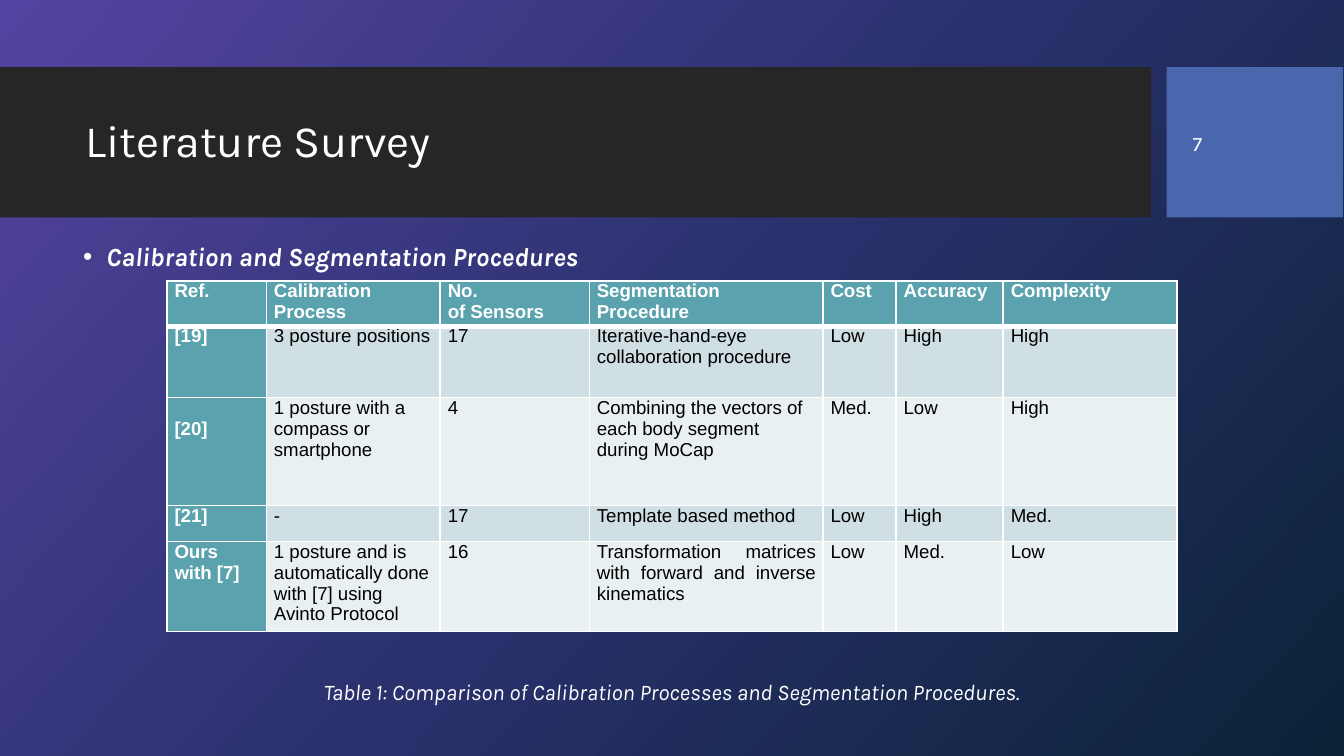
import copy
import pptx
import pptx.util
import pptx.dml.color
import pptx.enum.shapes
import pptx.enum.text
import pptx.oxml
import pptx.oxml.ns
import lxml.etree

Pt = pptx.util.Pt
ALIGN = pptx.enum.text.PP_ALIGN
ANCHOR = pptx.enum.text.MSO_ANCHOR

COLORS = {
    "white": "FFFFFF", "black": "000000", "title_bar": "262626", "number_bar": "4A66AC",
    "header": "5AA2AE", "odd_row": "D0DFE3", "even_row": "E9F0F1",
}
BACKGROUND_STOPS = [(0, "5444A1"), (0.5, "2A316D"), (1, "0B2337")]
BACKGROUND_ANGLE = 42

BARS = [
    ("title_bar", (0, 36, 616.5, 80.5)),
    ("number_bar", (625, 36, 94.5, 80.5)),
]
TITLE = "Literature Survey"
SLIDE_NUMBER = "7"
BULLET = "Calibration and Segmentation Procedures"
CAPTION = "Table 1: Comparison of Calibration Processes and Segmentation Procedures."

ROWS = [
    ["Ref.", "Calibration Process", "No.\nof Sensors", "Segmentation Procedure",
     "Cost", "Accuracy", "Complexity"],
    ["[19]", "3 posture positions", "17", "Iterative-hand-eye collaboration procedure",
     "Low", "High", "High"],
    ["[20]", "1 posture with a compass or smartphone", "4",
     "Combining the vectors of each body segment during MoCap", "Med.", "Low", "High"],
    ["[21]", "-", "17", "Template based method", "Low", "High", "Med."],
    ["Ours with [7]", "1 posture and is automatically done with [7] using Avinto Protocol", "16",
     "Transformation matrices with forward and inverse kinematics", "Low", "Med.", "Low"],
]
LEFT_ALIGNED = {(1, 1), (2, 1), (3, 1), (4, 1), (2, 3)}
LOWERED = (2, 0)
COLUMN_WIDTHS = [53.3, 93.1, 79.9, 125.2, 39.2, 57.4, 93.1]
ROW_HEIGHTS = [22.3, 38.4, 57.8, 19.3, 48.2]
TABLE_LEFT, TABLE_TOP = 89.5, 150.6


def rgb(name):
    return pptx.dml.color.RGBColor.from_string(COLORS.get(name, name))


def style_paragraph(paragraph, size, font="Karla", color="white", bold=False, italic=False):
    for run in paragraph.runs:
        run.font.name = font
        run.font.size = Pt(size)
        run.font.color.rgb = rgb(color)
        run.font.bold = bold
        run.font.italic = italic


def add_text(slide, text, box, size, anchor=ANCHOR.TOP, align=ALIGN.LEFT, spacing=1, **style):
    shape = slide.shapes.add_textbox(*map(Pt, box))
    frame = shape.text_frame
    frame.word_wrap = True
    frame.vertical_anchor = anchor
    frame.margin_left = frame.margin_right = Pt(5.3)
    frame.margin_top = frame.margin_bottom = Pt(2.7)
    frame.text = text
    paragraph = frame.paragraphs[0]
    paragraph.alignment = align
    paragraph.line_spacing = spacing
    style_paragraph(paragraph, size, **style)
    return paragraph


def add_bullet(paragraph):
    properties = paragraph._p.get_or_add_pPr()
    properties.set("marL", str(Pt(13.5)))
    properties.set("indent", str(Pt(-12.4)))
    font = lxml.etree.SubElement(properties, pptx.oxml.ns.qn("a:buFont"))
    font.set("typeface", "Arial")
    character = lxml.etree.SubElement(properties, pptx.oxml.ns.qn("a:buChar"))
    character.set("char", "•")


def set_borders(cell, widths):
    properties = cell._tc.get_or_add_tcPr()
    for index, (side, width) in enumerate(widths.items()):
        properties.insert(index, pptx.oxml.parse_xml(
            f'<a:ln{side} {pptx.oxml.ns.nsdecls("a")} w="{Pt(width)}"><a:solidFill>'
            f'<a:srgbClr val="{COLORS["white"]}"/></a:solidFill></a:ln{side}>'))


def paint_background(slide):
    fill = slide.background.fill
    fill.gradient()
    fill.gradient_angle = 360 - BACKGROUND_ANGLE
    first = next(slide.element.iter(pptx.oxml.ns.qn("a:gs")))
    first.addnext(copy.deepcopy(first))
    for stop, (position, color) in zip(fill.gradient_stops, BACKGROUND_STOPS):
        stop.position = position
        stop.color.rgb = rgb(color)


def add_bar(slide, color, box):
    bar = slide.shapes.add_shape(pptx.enum.shapes.MSO_SHAPE.RECTANGLE, *map(Pt, box))
    bar.shadow.inherit = False
    bar.fill.solid()
    bar.fill.fore_color.rgb = rgb(color)
    bar.line.fill.background()


def add_comparison_table(slide):
    table = slide.shapes.add_table(
        len(ROWS), len(COLUMN_WIDTHS), Pt(TABLE_LEFT), Pt(TABLE_TOP),
        Pt(sum(COLUMN_WIDTHS)), Pt(sum(ROW_HEIGHTS))).table
    for column, width in zip(table.columns, COLUMN_WIDTHS):
        column.width = Pt(width)
    for row_index, (row, height) in enumerate(zip(ROWS, ROW_HEIGHTS)):
        table.rows[row_index].height = Pt(height)
        for column_index, text in enumerate(row):
            place = (row_index, column_index)
            heading = 0 in place
            cell = table.cell(*place)
            cell.text_frame.text = text
            cell.margin_left = cell.margin_right = Pt(4)
            cell.margin_top = Pt(11.2 if place == LOWERED else 0)
            cell.margin_bottom = 0
            cell.fill.solid()
            stripe = "odd_row" if row_index % 2 else "even_row"
            cell.fill.fore_color.rgb = rgb("header" if heading else stripe)
            set_borders(cell, {"L": 1, "R": 1, "T": 3 if row_index == 1 else 1,
                               "B": 3 if row_index == 0 else 1})
            for paragraph in cell.text_frame.paragraphs:
                paragraph.alignment = ALIGN.LEFT if place in LEFT_ALIGNED else ALIGN.JUSTIFY
                style_paragraph(paragraph, 10, "Arial", "white" if heading else "black", heading)


def main():
    presentation = pptx.Presentation()
    presentation.slide_width, presentation.slide_height = Pt(720), Pt(405)
    slide = presentation.slides.add_slide(presentation.slide_layouts[6])
    paint_background(slide)
    for color, box in BARS:
        add_bar(slide, color, box)
    add_text(slide, TITLE, (40.3, 44.6, 568, 64), 24, ANCHOR.MIDDLE, spacing=0.9)
    add_bullet(add_text(slide, BULLET, (38.2, 128.2, 568, 212), 14,
                        spacing=0.9, bold=True, italic=True))
    add_text(slide, SLIDE_NUMBER, (633.6, 44.6, 68.4, 64), 11, ANCHOR.MIDDLE)
    add_comparison_table(slide)
    add_text(slide, CAPTION, (TABLE_LEFT, 360.7, sum(COLUMN_WIDTHS), 38), 12,
             align=ALIGN.CENTER, italic=True)
    presentation.save("out.pptx")


if __name__ == "__main__":
    main()
